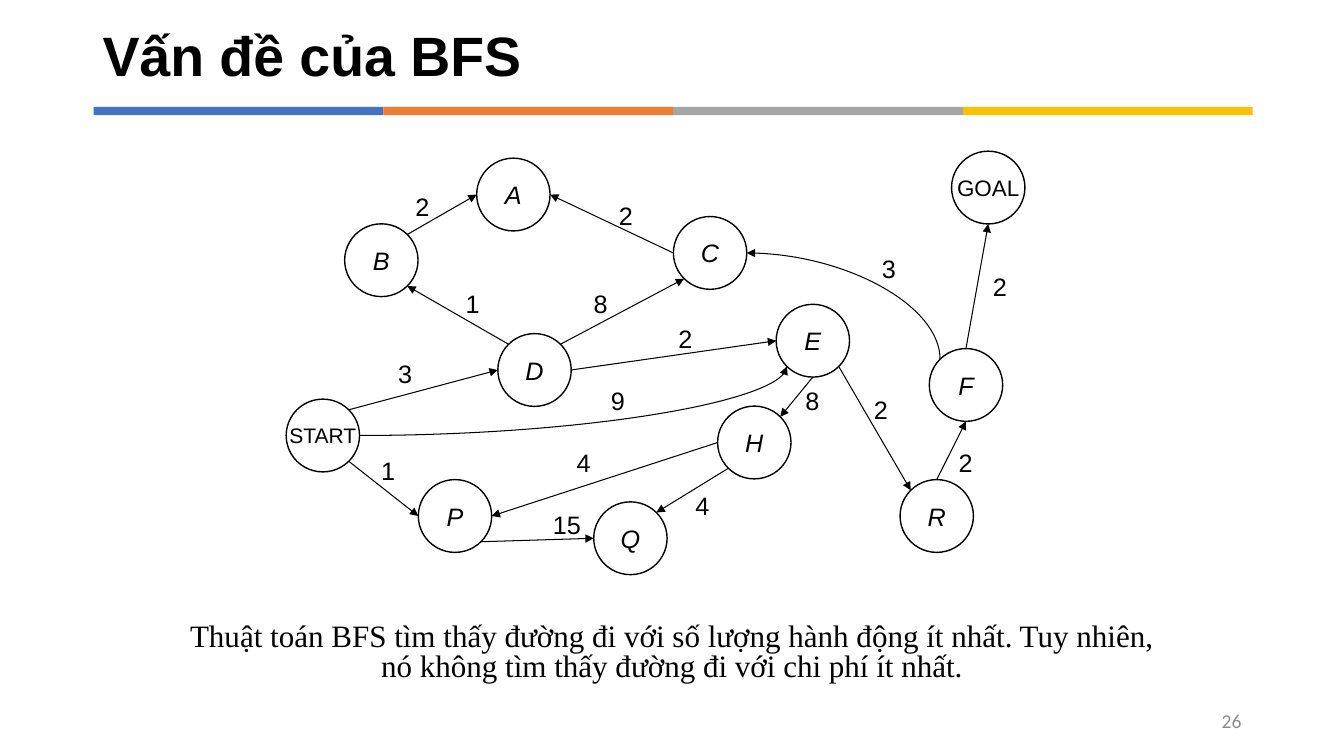
"""Build a slide showing a weighted graph that illustrates the weakness of BFS."""
from math import cos, radians, sin

from lxml import etree
from pptx import Presentation
from pptx.dml.color import RGBColor
from pptx.enum.shapes import MSO_CONNECTOR, MSO_SHAPE
from pptx.enum.text import MSO_ANCHOR, PP_ALIGN
from pptx.oxml.ns import qn
from pptx.util import Pt

STRAIGHT, CURVE = MSO_CONNECTOR.STRAIGHT, MSO_CONNECTOR.CURVE
RECTANGLE, NODE_SHAPE = MSO_SHAPE.RECTANGLE, MSO_SHAPE.FLOWCHART_CONNECTOR
TOP, MIDDLE = MSO_ANCHOR.TOP, MSO_ANCHOR.MIDDLE
LEFT, CENTER, RIGHT = PP_ALIGN.LEFT, PP_ALIGN.CENTER, PP_ALIGN.RIGHT

BLACK = RGBColor(0x00, 0x00, 0x00)
GREY = RGBColor(0x8C, 0x8C, 0x8C)
BAND_COLORS = [
    RGBColor(0x44, 0x72, 0xC4),
    RGBColor(0xED, 0x7D, 0x31),
    RGBColor(0xA5, 0xA5, 0xA5),
    RGBColor(0xFF, 0xC0, 0x00),
]

TITLE = "Vấn đề của BFS"
CONCLUSION = [
    "Thuật toán BFS tìm thấy đường đi với số lượng hành động ít nhất. Tuy nhiên,",
    "nó không tìm thấy đường đi với chi phí ít nhất.",
]
PAGE_NUMBER = "26"

NODE_CENTERS = {
    "START": (230.6, 311.1),
    "GOAL": (705.9, 134),
    "D": (381.8, 264.3),
    "B": (272.4, 185.9),
    "P": (325, 368.6),
    "Q": (450.3, 384.5),
    "C": (507.2, 180.7),
    "E": (580.6, 243.4),
    "H": (538.8, 316.1),
    "A": (366.7, 139),
    "F": (690, 275),
    "R": (669.1, 368.6),
}
NODE_WIDTH, NODE_HEIGHT = 52.4, 52
WORD_SIZES = {"START": 15, "GOAL": 16}
LETTER_SIZE = 18

SIDE_ANGLES = {"E": 0, "SE": 45, "S": 90, "SW": 135, "W": 180, "NW": 225, "N": 270, "NE": 315}
EDGES = [
    ("START", "SE", "P", "W", "1", (277.2, 336.2)),
    ("P", "SE", "Q", "W", "15", (405, 374.4)),
    ("H", "SW", "Q", "NE", "4", (501.8, 361.4)),
    ("H", "W", "P", "E", "4", (416.9, 330.5)),
    ("E", "S", "H", "NE", "8", (580.3, 285.8)),
    ("E", "SE", "R", "NW", "2", (629.3, 292.3)),
    ("R", "N", "F", "S", "2", (689.8, 330.5)),
    ("F", "N", "GOAL", "S", "2", (714.2, 204.5)),
    ("START", "NE", "D", "W", "3", (289.4, 267.1)),
    ("D", "NW", "B", "SE", "1", (337.7, 216.7)),
    ("B", "NE", "A", "W", "2", (301.7, 147.6)),
    ("C", "W", "A", "E", "2", (447.1, 154.1)),
    ("D", "NE", "C", "SW", "8", (429.1, 216.7)),
    ("D", "E", "E", "W", "2", (489.6, 241.9)),
]
CURVED_EDGES = [
    ("C", "E", "F", "NW", "3", (635, 191.5), "headEnd"),
    ("START", "E", "E", "SW", "9", (441.4, 285.8), "tailEnd"),
]


def write(frame, lines, size, font, color=BLACK, align=LEFT, anchor=TOP,
          spacing=1.0, bold=False, italic=False, wrap=True):
    """Fill a text frame with evenly formatted lines."""
    frame.word_wrap = wrap
    frame.vertical_anchor = anchor
    for index, line in enumerate(lines):
        paragraph = frame.add_paragraph() if index else frame.paragraphs[0]
        paragraph.text = line
        paragraph.alignment = align
        paragraph.line_spacing = spacing
        paragraph.font.size = Pt(size)
        paragraph.font.name = font
        paragraph.font.bold = bold
        paragraph.font.italic = italic
        paragraph.font.color.rgb = color


def add_text(page, left, top, width, height, lines, size, font, **style):
    """Place a text box."""
    box = page.shapes.add_textbox(Pt(left), Pt(top), Pt(width), Pt(height))
    write(box.text_frame, lines, size, font, **style)


def add_band(page):
    """Draw the four-colour rule under the title."""
    left, top, width, height = 66.8, 76.4, 207, 5.8
    for index, color in enumerate(BAND_COLORS):
        bar = page.shapes.add_shape(
            RECTANGLE, Pt(left + index * width), Pt(top), Pt(width), Pt(height))
        bar.shadow.inherit = False
        bar.fill.solid()
        bar.fill.fore_color.rgb = color
        bar.line.fill.background()


def add_node(page, name):
    """Draw one circle of the graph."""
    x, y = NODE_CENTERS[name]
    node = page.shapes.add_shape(
        NODE_SHAPE, Pt(x - NODE_WIDTH / 2), Pt(y - NODE_HEIGHT / 2),
        Pt(NODE_WIDTH), Pt(NODE_HEIGHT))
    node.shadow.inherit = False
    node.fill.background()
    node.line.color.rgb = BLACK
    node.line.width = Pt(1)
    write(node.text_frame, [name], WORD_SIZES.get(name, LETTER_SIZE), "Arial",
          align=CENTER, anchor=MIDDLE, italic=name not in WORD_SIZES, wrap=False)


def rim_point(name, side):
    """Return the point on a circle's rim that faces a compass side."""
    x, y = NODE_CENTERS[name]
    angle = radians(SIDE_ANGLES[side])
    return Pt(x + NODE_WIDTH / 2 * cos(angle)), Pt(y + NODE_HEIGHT / 2 * sin(angle))


def add_edge(page, kind, start, start_side, end, end_side, arrow_end="tailEnd"):
    """Draw an arrow between two circles."""
    edge = page.shapes.add_connector(
        kind, *rim_point(start, start_side), *rim_point(end, end_side))
    edge.line.color.rgb = BLACK
    edge.line.width = Pt(0.75)
    properties = edge._element.spPr
    etree.SubElement(properties.find(qn("a:ln")), qn(f"a:{arrow_end}"), type="triangle")
    etree.SubElement(properties, qn("a:effectLst"))
    if kind == CURVE:
        properties.find(qn("a:prstGeom")).set("prst", "curvedConnector2")


def add_cost(page, cost, center):
    """Write the cost of an edge around a centre point."""
    width, height = 36, 28.8
    add_text(page, center[0] - width / 2, center[1] - height / 2, width, height,
             [cost], 18, "Arial", align=CENTER)


def main():
    """Assemble and save the deck."""
    deck = Presentation()
    deck.slide_width, deck.slide_height = Pt(960), Pt(540)
    page = deck.slides.add_slide(deck.slide_layouts[6])

    add_band(page)
    add_text(page, 66.2, 16.6, 828, 51, [TITLE], 39.6, "Arial",
             anchor=MIDDLE, spacing=0.9, bold=True)
    for name in NODE_CENTERS:
        add_node(page, name)
    for *ends, cost, center in EDGES:
        add_edge(page, STRAIGHT, *ends)
        add_cost(page, cost, center)
    for *ends, cost, center, arrow_end in CURVED_EDGES:
        add_edge(page, CURVE, *ends, arrow_end)
        add_cost(page, cost, center)
    add_text(page, 66.2, 442, 828, 50.4, CONCLUSION, 22.2, "Times New Roman",
             align=CENTER, spacing=0.8)
    add_text(page, 678, 500.4, 216, 28.8, [PAGE_NUMBER], 14, "Calibri",
             color=GREY, align=RIGHT, anchor=MIDDLE)
    deck.save("out.pptx")


if __name__ == "__main__":
    main()
